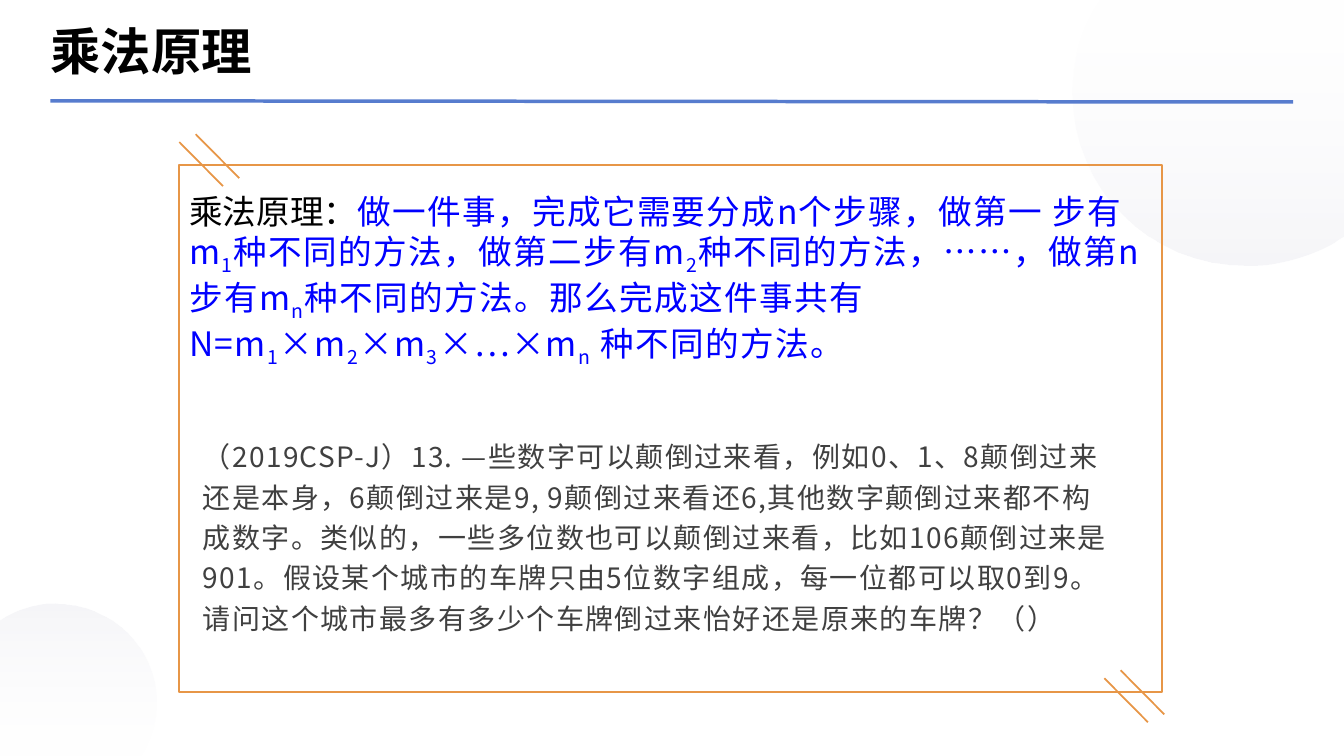
from lxml import etree
from pptx import Presentation
from pptx.dml.color import RGBColor
from pptx.enum.shapes import MSO_CONNECTOR, MSO_SHAPE
from pptx.enum.text import MSO_ANCHOR, MSO_AUTO_SIZE, PP_ALIGN
from pptx.oxml.ns import qn
from pptx.util import Cm, Pt

STRAIGHT = MSO_CONNECTOR.STRAIGHT
RECTANGLE = MSO_SHAPE.RECTANGLE
TOP, MIDDLE = MSO_ANCHOR.TOP, MSO_ANCHOR.MIDDLE
NO_AUTOFIT = MSO_AUTO_SIZE.NONE
LEFT = PP_ALIGN.LEFT

COLORS = {"title": "000000", "rule": "577CCE", "frame": "E79647", "theorem": "0000FF",
          "problem": "404040", "pale": "FFFFFF", "mist": "D8D8E4"}
SANS, LATIN = "Noto Sans CJK SC", "Arial"
FORMATS = {
    "title": {"size": Pt(36), "bold": True, "name": SANS},
    "lead": {"size": Pt(24), "name": LATIN},
    "theorem": {"size": Pt(24), "name": SANS},
    "problem": {"size": Pt(20), "name": SANS},
}
UPPER_DISC = {
    "edges": [(27.74, 0), (33.87, 0), (33.87, 5.94), (33.53, 6.15)],
    "curves": [(32.89, 6.48), (32.18, 6.68), (31.42, 6.68),
               (28.98, 6.68), (27.03, 4.75), (27.03, 2.34),
               (27.03, 1.6), (27.2, 0.89), (27.56, 0.28)],
    "angle": 270,
}
LOWER_DISC = {
    "edges": [(3.53, 19.05), (0, 19.05), (0, 15.65), (0.2, 15.52)],
    "curves": [(0.56, 15.32), (0.97, 15.21), (1.4, 15.21),
               (2.79, 15.21), (3.94, 16.33), (3.94, 17.7),
               (3.94, 18.14), (3.81, 18.52), (3.63, 18.9)],
    "angle": 90,
}
THEOREM = [
    ("做一件事，完成它需要分成n个步骤，做第一 步有m", "1"),
    ("种不同的方法，做第二步有m", "2"),
    ("种不同的方法，……，做第n步有m", "n"),
    ("种不同的方法。那么完成这件事共有 N=m", "1"),
    ("×m", "2"),
    ("×m", "3"),
    ("×…×m", "n"),
    (" 种不同的方法。", ""),
]
PROBLEM = (
    "（2019CSP-J）13. —些数字可以颠倒过来看，例如0、1、8颠倒过来还是本身，"
    "6颠倒过来是9, 9颠倒过来看还6,其他数字颠倒过来都不构成数字。"
    "类似的，一些多位数也可以颠倒过来看，比如106颠倒过来是901。"
    "假设某个城市的车牌只由5位数字组成，每一位都可以取0到9。"
    "请问这个城市最多有多少个车牌倒过来怡好还是原来的车牌？（）"
)


class PrincipleSlide:
    """Draw the elements of one slide in a shared style."""

    def __init__(self, deck):
        self.slide = deck.slides.add_slide(deck.slide_layouts[1])
        self.shapes = self.slide.shapes

    def color(self, name):
        return RGBColor.from_string(COLORS[name])

    def disc(self, edges, curves, angle):
        start, *corners = [(Cm(x), Cm(y)) for x, y in edges + curves]
        outline = self.shapes.build_freeform(*start)
        outline.add_line_segments(corners, close=True)
        disc = outline.convert_to_shape()
        bends = list(disc.element.iter(qn("a:lnTo")))[len(edges) - 1:]
        for first in range(0, len(bends), 3):
            curve = etree.Element(qn("a:cubicBezTo"))
            bends[first].addprevious(curve)
            for bend in bends[first:first + 3]:
                curve.append(bend[0])
                bend.getparent().remove(bend)
        disc.shadow.inherit = False
        disc.line.fill.background()
        disc.fill.gradient()
        disc.fill.gradient_angle = angle
        for stop, name in zip(disc.fill.gradient_stops, ("pale", "mist")):
            stop.color.rgb = self.color(name)
        for tint, alpha in zip(disc.element.iter(qn("a:srgbClr")), ("10000", "24000")):
            etree.SubElement(tint, qn("a:alpha")).set("val", alpha)

    def line(self, start, end, name, width):
        line = self.shapes.add_connector(STRAIGHT, *map(Cm, start + end))
        line.line.color.rgb = self.color(name)
        line.line.width = Pt(width)
        etree.SubElement(line.element.spPr, qn("a:effectLst"))

    def frame(self, place):
        frame = self.shapes.add_shape(RECTANGLE, *map(Cm, place))
        frame.shadow.inherit = False
        frame.fill.background()
        frame.line.color.rgb = self.color("frame")
        frame.line.width = Pt(1.5)

    def run(self, paragraph, text, style, name, spacing=0, baseline=0):
        run = paragraph.add_run()
        run.text = text
        for key, value in FORMATS[style].items():
            setattr(run.font, key, value)
        run.font.color.rgb = self.color(name)
        properties = run.font._element
        properties.set("lang", "zh-CN")
        if spacing:
            properties.set("spc", str(spacing))
        if baseline:
            properties.set("baseline", str(baseline))
        etree.SubElement(properties, qn("a:ea")).set("typeface", FORMATS[style]["name"])

    def prepare(self, holder, place, anchor, inset):
        for key, value in zip(("left", "top", "width", "height"), place):
            setattr(holder, key, Cm(value))
        frame = holder.text_frame
        across, down = map(Cm, inset)
        settings = {"word_wrap": True, "auto_size": NO_AUTOFIT, "vertical_anchor": anchor,
                    "margin_left": across, "margin_right": across,
                    "margin_top": down, "margin_bottom": down}
        for key, value in settings.items():
            setattr(frame, key, value)
        paragraph = frame.paragraphs[0]
        paragraph.alignment = LEFT
        paragraph.space_before = Pt(0)
        return paragraph

    def title(self, text, place):
        heading = self.prepare(self.shapes.title, place, MIDDLE, (0, 0))
        self.run(heading, text, "title", "title")

    def theorem(self, lead, parts, place):
        box = self.shapes.add_textbox(*map(Cm, place))
        statement = self.prepare(box, place, TOP, (0.25, 0.13))
        self.run(statement, lead, "lead", "title")
        for text, index in parts:
            self.run(statement, text, "theorem", "theorem", 100)
            if index:
                self.run(statement, index, "theorem", "theorem", 100, -25000)

    def problem(self, text, place):
        question = self.prepare(self.slide.placeholders[1], place, MIDDLE, (0.18, 0.08))
        properties = question._p.get_or_add_pPr()
        for key in ("marL", "indent"):
            properties.set(key, "0")
        etree.SubElement(properties, qn("a:buNone"))
        question.line_spacing = 1.2
        question.space_after = Pt(8)
        self.run(question, text, "problem", "problem", 100)


def main():
    deck = Presentation()
    deck.slide_width, deck.slide_height = Cm(33.87), Cm(19.05)
    page = PrincipleSlide(deck)
    for disc in (UPPER_DISC, LOWER_DISC):
        page.disc(**disc)
    page.line((1.27, 2.54), (32.59, 2.57), "rule", 2.5)
    page.title("乘法原理", (1.27, 0.43, 31.32, 1.7))
    page.frame((4.52, 4.17, 24.77, 13.28))
    for left, top in ((4.93, 3.38), (28.24, 16.89)):
        for x, y in ((left, top), (left - 0.41, top + 0.2)):
            page.line((x, y), (x + 1.1, y + 1.11), "frame", 1.25)
    page.theorem("乘法原理：", THEOREM, (4.52, 4.67, 24.43, 5.38))
    page.problem(PROBLEM, (4.93, 10.13, 23.47, 6.65))
    deck.save("out.pptx")


if __name__ == "__main__":
    main()
